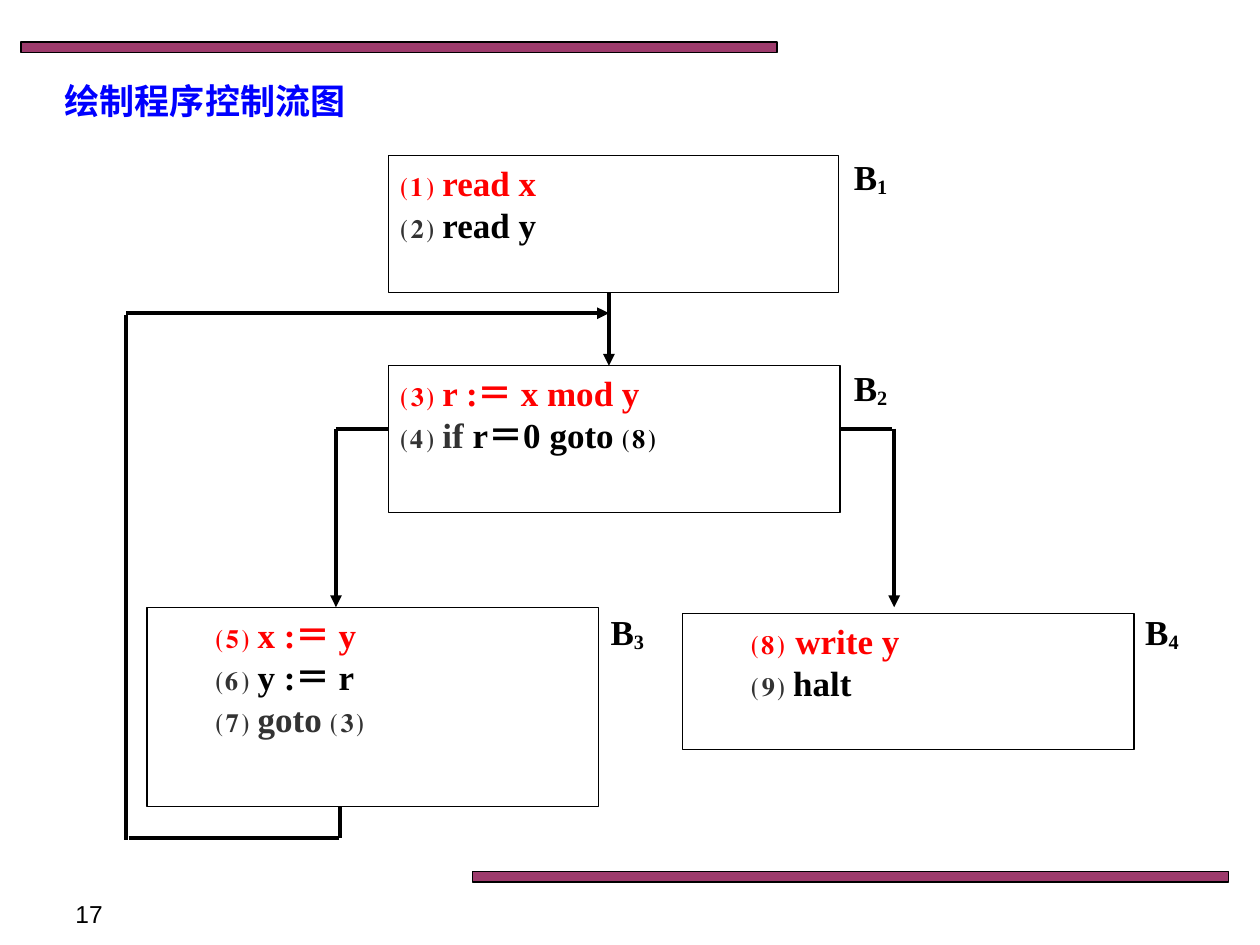
from typing import NamedTuple

from lxml import etree
from pptx import Presentation
from pptx.dml.color import RGBColor
from pptx.enum.shapes import MSO_CONNECTOR, MSO_SHAPE
from pptx.enum.text import MSO_ANCHOR, PP_ALIGN
from pptx.oxml.ns import qn
from pptx.util import Pt

RECT = MSO_SHAPE.RECTANGLE
LINE = MSO_CONNECTOR.STRAIGHT
TOP = MSO_ANCHOR.TOP
LEFT, MID, JUST = PP_ALIGN.LEFT, PP_ALIGN.CENTER, PP_ALIGN.JUSTIFY
SERIF, SANS = "Times New Roman", "Arial"
COLORS = {"black": "000000", "white": "FFFFFF", "gray": "333333",
          "red": "FF0000", "blue": "0000FF", "plum": "993366"}


class Run(NamedTuple):
    text: str
    color: str = "black"
    sub: bool = False


class Block(NamedTuple):
    area: tuple[float, float, float, float]
    label: tuple[float, float]
    indent: float
    rows: list[list[Run]]


class Edge(NamedTuple):
    start: tuple[float, float]
    end: tuple[float, float]
    arrow: bool = False


BARS = [(12, 24, 432, 6), (270, 498, 432, 6)]
BLOCKS = [
    Block((222, 89, 257, 78), (476.5, 85.5), 0, [
        [Run("⑴ read x", "red")],
        [Run("⑵", "gray"), Run(" read y")]]),
    Block((222, 209, 258, 84), (476.5, 206), 0, [
        [Run("⑶ r :＝ x mod y", "red")],
        [Run("⑷ if ", "gray"), Run("r＝0 goto ⑻")]]),
    Block((84, 347, 258, 114), (337.5, 345.5), 32.4, [
        [Run("⑸ x :＝ y", "red")],
        [Run("⑹ ", "gray"), Run("y :＝ r")],
        [Run("⑺ goto ⑶", "gray")]]),
    Block((390, 350.5, 258, 78), (643, 345.5), 32.4, [
        [Run("⑻ write y", "red")],
        [Run("⑼ ", "gray"), Run("halt")]]),
]
EDGES = [
    Edge((348, 167), (348, 209), True),
    Edge((192, 245), (222, 245)),
    Edge((192, 245), (192, 347), True),
    Edge((480, 245), (510, 245)),
    Edge((511, 245), (511, 347), True),
    Edge((194.5, 461), (194.5, 479)),
    Edge((73.5, 479), (194, 479)),
    Edge((72, 180), (72, 480)),
    Edge((72, 179), (348, 179), True),
]


def shade(name: str) -> RGBColor:
    """Look up a named colour."""
    return RGBColor.from_string(COLORS[name])


def add_rect(slide, area, color: str):
    """Draw a thinly outlined rectangle."""
    rect = slide.shapes.add_shape(RECT, *map(Pt, area))
    rect.shadow.inherit = False
    rect.fill.solid()
    rect.fill.fore_color.rgb = shade(color)
    rect.line.color.rgb = shade("black")
    rect.line.width = Pt(0.75)
    return rect


def add_bar(slide, area) -> None:
    """Draw a slightly clear plum bar."""
    bar = add_rect(slide, area, "plum")
    tint = bar.fill._xPr.find(".//" + qn("a:srgbClr"))
    etree.SubElement(tint, qn("a:alpha"), val="96000")


def write(shape, rows: list[list[Run]], align=LEFT, indent: float = 0,
          size: float = 20, face: str = SERIF, bold: bool = True) -> None:
    """Fill a shape with rows of coloured runs."""
    frame = shape.text_frame
    frame.word_wrap = True
    frame.vertical_anchor = TOP
    for num, row in enumerate(rows):
        para = frame.add_paragraph() if num else frame.paragraphs[0]
        para.alignment = align
        if indent:
            props = para._p.get_or_add_pPr()
            props.set("marL", "0")
            props.set("indent", str(Pt(indent)))
        para.font.size = Pt(size)
        para.font.name = face
        para.font.bold = bold
        for part in row:
            run = para.add_run()
            run.text = part.text
            run.font.color.rgb = shade(part.color)
            if part.sub:
                run._r.get_or_add_rPr().set("baseline", "-10000")


def add_text(slide, area, row: list[Run], **style) -> None:
    """Add a one-line text box."""
    write(slide.shapes.add_textbox(*map(Pt, area)), [row], **style)


def add_block(slide, num: int, block: Block) -> None:
    """Draw a basic block and its label."""
    write(add_rect(slide, block.area, "white"), block.rows, JUST, block.indent)
    add_text(slide, (*block.label, 42, 31),
             [Run("B"), Run(str(num), sub=True)], align=MID)


def add_edge(slide, edge: Edge) -> None:
    """Draw a flow line, with an arrowhead if asked."""
    link = slide.shapes.add_connector(
        LINE, *map(Pt, edge.start), *map(Pt, edge.end))
    link.line.color.rgb = shade("black")
    link.line.width = Pt(2.25)
    if edge.arrow:
        etree.SubElement(link.line._get_or_add_ln(), qn("a:tailEnd"),
                         type="triangle")
    etree.SubElement(link._element.spPr, qn("a:effectLst"))


def main() -> None:
    """Build the control flow slide."""
    deck = Presentation()
    deck.slide_width, deck.slide_height = Pt(720), Pt(540)
    slide = deck.slides.add_slide(deck.slide_layouts[6])
    for area in BARS:
        add_bar(slide, area)
    add_text(slide, (36, 510, 168, 19.5), [Run("17")],
             size=14, face=SANS, bold=False)
    for num, block in enumerate(BLOCKS, 1):
        add_block(slide, num, block)
    for edge in EDGES:
        add_edge(slide, edge)
    add_text(slide, (30, 42, 222, 31), [Run("绘制程序控制流图", "blue")])
    deck.save("out.pptx")


if __name__ == "__main__":
    main()
